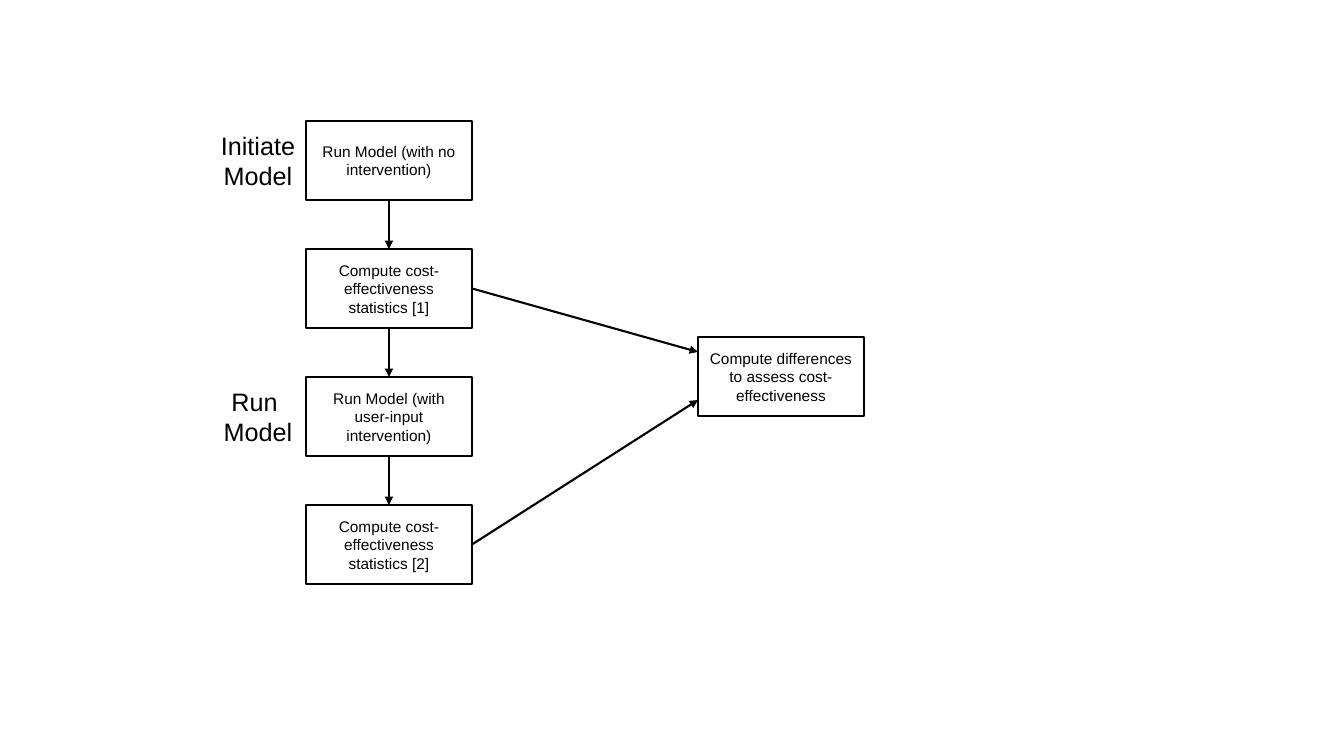
from lxml import etree
from pptx import Presentation
from pptx.dml.color import RGBColor
from pptx.enum.shapes import MSO_CONNECTOR, MSO_SHAPE
from pptx.enum.text import MSO_ANCHOR, MSO_AUTO_SIZE, PP_ALIGN
from pptx.oxml.ns import qn
from pptx.util import Pt

RECT, STRAIGHT = MSO_SHAPE.RECTANGLE, MSO_CONNECTOR.STRAIGHT
MIDDLE, CENTER = MSO_ANCHOR.MIDDLE, PP_ALIGN.CENTER
FIT_SHAPE = MSO_AUTO_SIZE.SHAPE_TO_FIT_TEXT

PX = 914400 / 100.8
COLORS = {"ink": "000000"}
FONT = "Arial"
BOX_W, BOX_H, PITCH = 166, 79, 128

STEPS = [
    "Run Model (with no intervention)",
    "Compute cost-effectiveness statistics [1]",
    "Run Model (with user-input intervention)",
    "Compute cost-effectiveness statistics [2]",
]
RESULT = "Compute differences to assess cost-effectiveness"
# Label lines, step index, left and width
LABELS = [(["Initiate", "Model"], 0, 210, 96), (["Run ", "Model"], 2, 213, 90)]


def emu(*lengths):
    return [round(n * PX) for n in lengths]


def color(name):
    return RGBColor.from_string(COLORS[name])


def write(tf, lines, size, **frame):
    for name, value in frame.items():
        setattr(tf, name, value)
    for i, line in enumerate(lines):
        p = tf.paragraphs[0] if i == 0 else tf.add_paragraph()
        p.alignment = CENTER
        r = p.add_run()
        r.text = line
        for name, value in {"name": FONT, "size": Pt(size)}.items():
            setattr(r.font, name, value)
        r.font.color.rgb = color("ink")


def add_box(s, x, y, text):
    sp = s.shapes.add_shape(RECT, *emu(x, y, BOX_W, BOX_H))
    sp.shadow.inherit = False
    sp.fill.background()
    sp.line.color.rgb = color("ink")
    sp.line.width = Pt(1)
    write(sp.text_frame, [text], 11, word_wrap=True, vertical_anchor=MIDDLE)


def add_label(s, x, y, w, lines):
    sp = s.shapes.add_textbox(*emu(x, y, w, 72))
    write(sp.text_frame, lines, 18, word_wrap=False, auto_size=FIT_SHAPE)


def add_arrow(s, x1, y1, x2, y2):
    cxn = s.shapes.add_connector(STRAIGHT, *emu(x1, y1, x2, y2))
    cxn.line.color.rgb = color("ink")
    cxn.line.width = Pt(1.5)
    etree.SubElement(cxn.line._get_or_add_ln(), qn("a:tailEnd"), type="triangle")
    etree.SubElement(cxn._element.spPr, qn("a:effectLst"))


def add_steps(s, x, y):
    """Column of steps with labels on the left and arrows between."""
    for i, text in enumerate(STEPS):
        top = y + i * PITCH
        add_box(s, x, top, text)
        if i:
            mid = x + BOX_W / 2
            add_arrow(s, mid, top - PITCH + BOX_H, mid, top)
    for lines, i, left, width in LABELS:
        add_label(s, left, y + i * PITCH + 4, width, lines)


def add_result(s, x, y, steps_x, steps_y):
    """Result box, reached from both statistics steps."""
    add_box(s, x, y, RESULT)
    for i, entry in ((1, 15), (3, 63)):
        add_arrow(s, steps_x + BOX_W, steps_y + i * PITCH + BOX_H / 2, x, y + entry)


prs = Presentation()
prs.slide_width, prs.slide_height = emu(1344, 756)
s = prs.slides.add_slide(prs.slide_layouts[6])
add_steps(s, 306, 121)
add_result(s, 698, 337, 306, 121)
prs.save("out.pptx")
